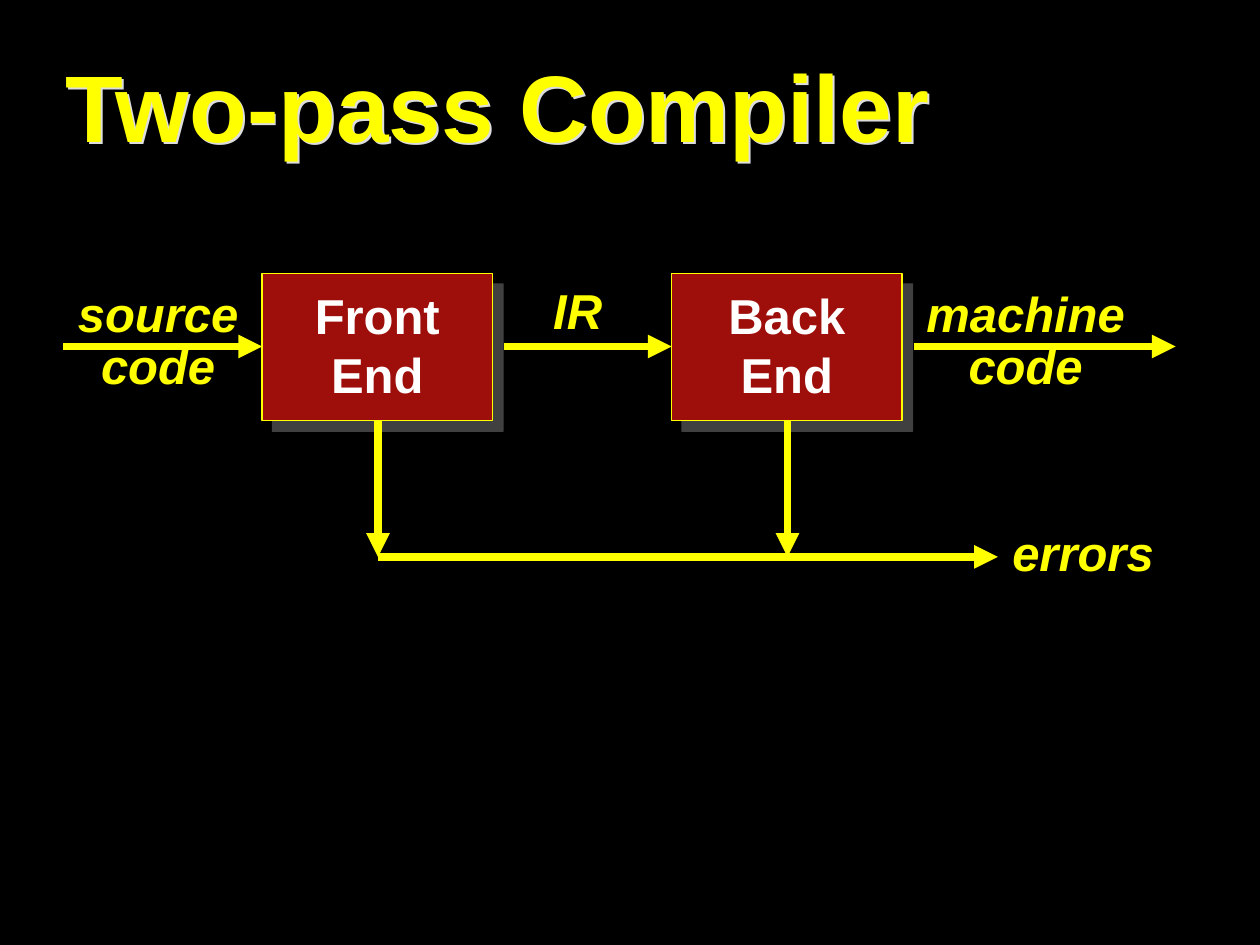
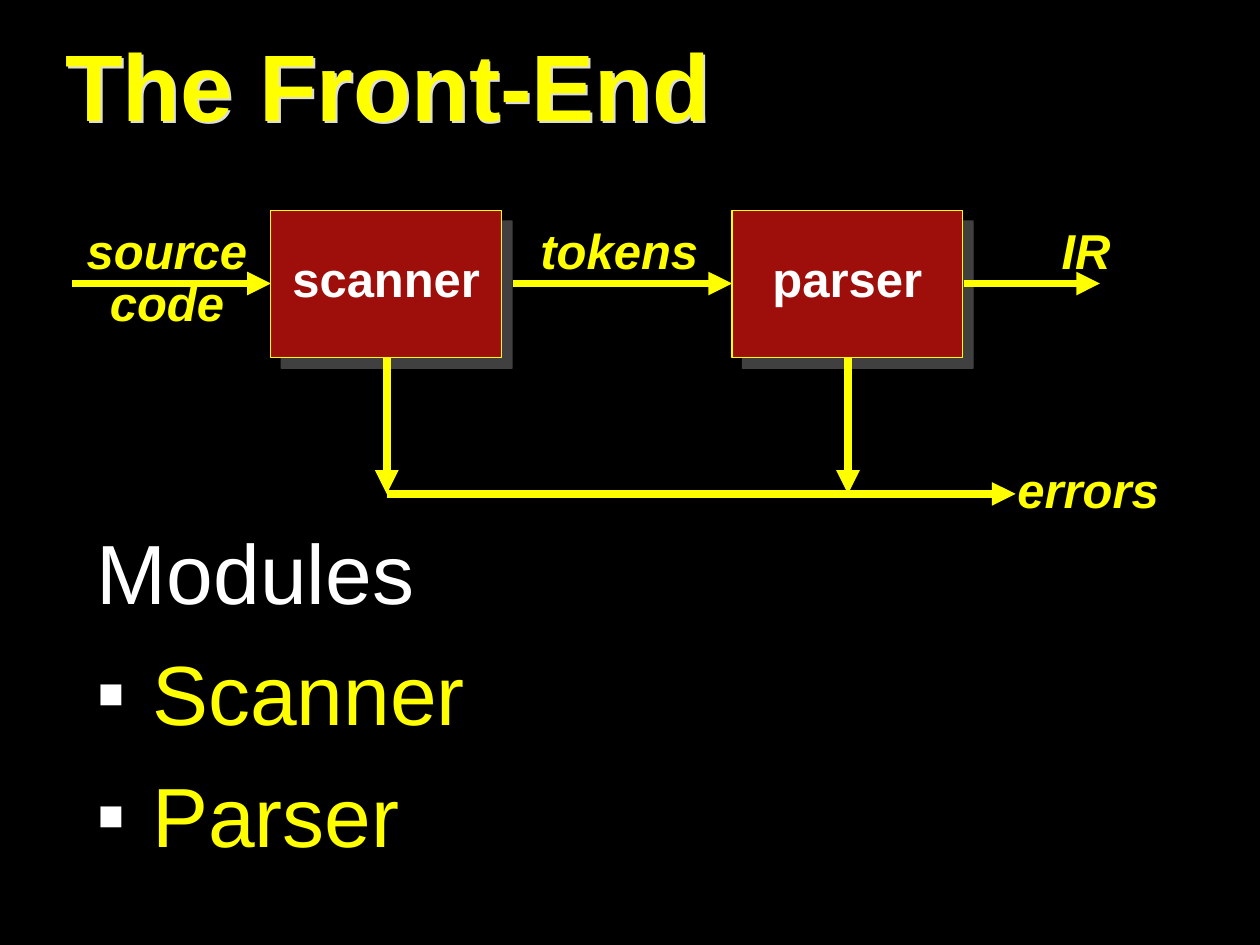
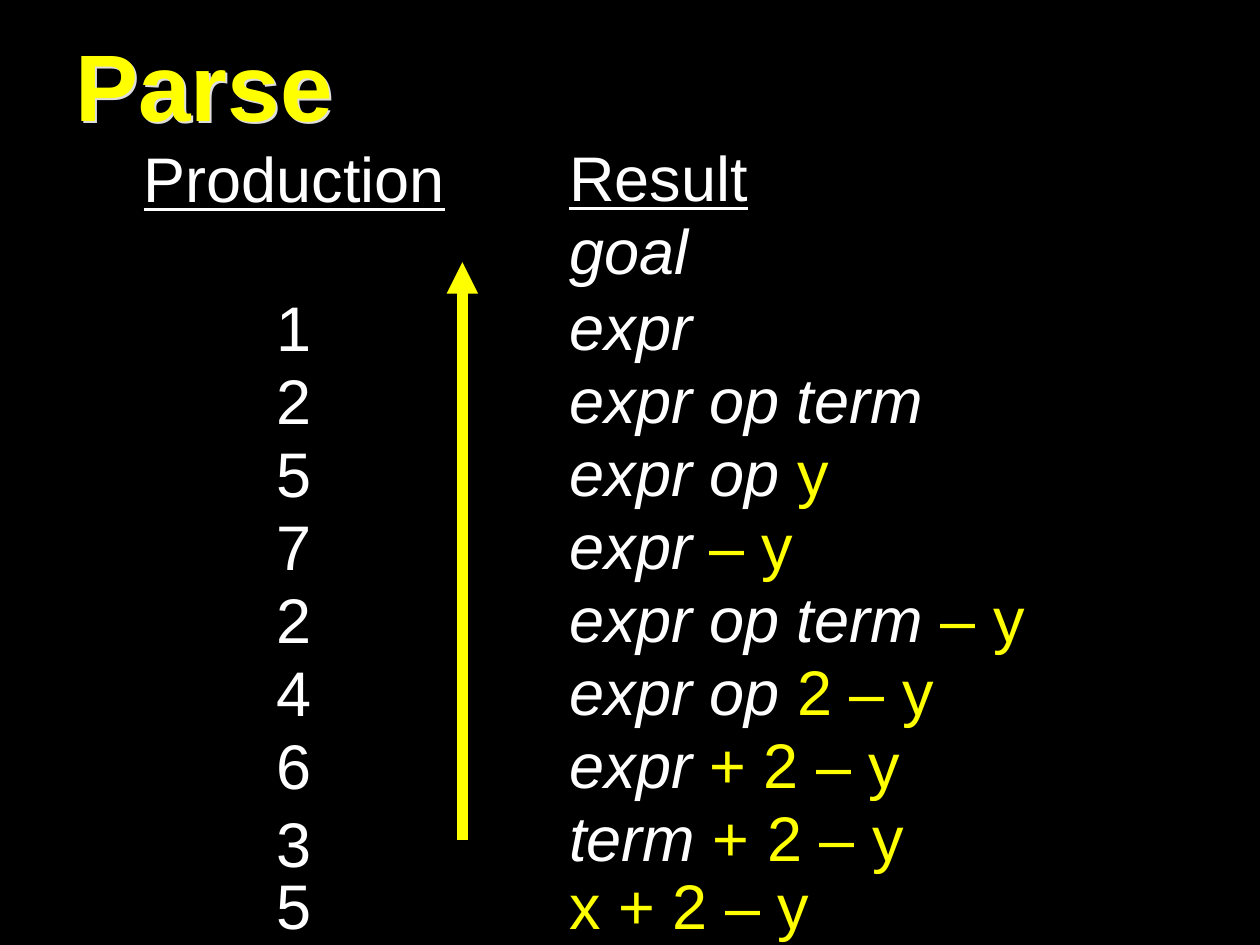
from dataclasses import dataclass

from lxml.etree import SubElement as Sub
from pptx import Presentation
from pptx.dml.color import RGBColor as Rgb
from pptx.enum.shapes import MSO_CONNECTOR as Link, MSO_SHAPE as Kind
from pptx.enum.text import MSO_ANCHOR as Anchor, PP_ALIGN as Align
from pptx.oxml.ns import qn
from pptx.util import Inches, Pt


@dataclass(frozen=True)
class Theme:
    back: Rgb = Rgb(0, 0, 0)
    white: Rgb = Rgb(255, 255, 255)
    yellow: Rgb = Rgb(255, 255, 0)
    red: Rgb = Rgb(0x9E, 0x0E, 0x0A)
    shade: Rgb = Rgb(0x80, 0x80, 0x80)
    glow: Rgb = Rgb(0xDD, 0xDD, 0xDD)
    font: str = "Arial"
    head: int = 54
    body: int = 48
    cell: int = 36
    label: int = 28


PLAIN = "{2D5ABB26-0587-4C30-8999-92F81FD0307C}"  # no table style, no grid
BOX_W, BOX_H = 1.83, 1.17


def cast(shape, dist, alpha, color):
    """Give a shape an outer shadow at 45 degrees."""
    shape.shadow.inherit = False
    effects = shape._element.spPr.find(qn("a:effectLst"))
    outer = Sub(effects, qn("a:outerShdw"), dist=str(Pt(dist)),
                dir="2700000", algn="ctr", rotWithShape="0")
    tint = Sub(outer, qn("a:srgbClr"), val=str(color))
    Sub(tint, qn("a:alpha"), val=str(alpha * 1000))


def write(par, text, font, size, color, bold=False, italic=False,
          under=False, align=Align.LEFT, space=None, before=None):
    """Fill a paragraph; a newline in the text breaks the line."""
    par.alignment = align
    if space:
        par.line_spacing = space
    if before is not None:
        par.space_before = Pt(before)
    for num, line in enumerate(text.split("\n")):
        if num:
            par.add_line_break()
        run = par.add_run()
        run.text = line
        face = run.font
        face.name, face.size, face.color.rgb = font, Pt(size), color
        face.bold, face.italic, face.underline = bold, italic, under


class Deck:
    def __init__(self, theme):
        self.theme = theme
        self.show = Presentation()
        self.show.slide_width, self.show.slide_height = Inches(10), Inches(7.5)

    def page(self, title, left, top):
        self.slide = self.show.slides.add_slide(self.show.slide_layouts[6])
        fill = self.slide.background.fill
        fill.solid()
        fill.fore_color.rgb = self.theme.back
        box = self.text(title, left, top, 9.42, 0.83, size=self.theme.head,
                        color=self.theme.yellow, bold=True)
        box.text_frame.vertical_anchor = Anchor.MIDDLE
        cast(box, 1.6, 100, self.theme.glow)

    def text(self, text, left, top, width, height, wrap=True, **form):
        box = self.slide.shapes.add_textbox(
            Inches(left), Inches(top), Inches(width), Inches(height))
        box.text_frame.word_wrap = wrap
        write(box.text_frame.paragraphs[0], text, self.theme.font, **form)
        return box

    def label(self, text, left, top, width):
        height = 0.94 if "\n" in text else 0.52
        self.text(text, left, top, width, height, size=self.theme.label,
                  color=self.theme.yellow, bold=True, italic=True,
                  align=Align.CENTER, space=0.9)

    def box(self, name, left, top):
        shape = self.slide.shapes.add_shape(
            Kind.RECTANGLE, Inches(left), Inches(top),
            Inches(BOX_W), Inches(BOX_H))
        shape.fill.solid()
        shape.fill.fore_color.rgb = self.theme.red
        shape.line.color.rgb = self.theme.yellow
        shape.line.width = Pt(0.75)
        cast(shape, 8.5, 50, self.theme.shade)
        drop, height = (0.05, 1.04) if "\n" in name else (0.25, 0.57)
        self.text(name, left, top + drop, BOX_W, height, wrap=False,
                  size=self.theme.label, color=self.theme.white, bold=True,
                  align=Align.CENTER)

    def arrow(self, x1, y1, x2, y2, width=4.5):
        line = self.slide.shapes.add_connector(
            Link.STRAIGHT, Inches(x1), Inches(y1), Inches(x2), Inches(y2))
        line.line.color.rgb = self.theme.yellow
        line.line.width = Pt(width)
        Sub(line.line._get_or_add_ln(), qn("a:tailEnd"), type="triangle")
        Sub(line._element.spPr, qn("a:effectLst"))

    def flow(self, top, lefts, names, link, out, errors):
        """Draw two stages; link is (text, drop, width), out is (text,
        label x, arrow start, arrow end), errors is (label x, arrow end)."""
        first, last = lefts
        mid, low, base = top + 0.58, top + BOX_H, top + 2.25
        for name, left in zip(names, lefts):
            self.box(name, left, top)
        self.arrow(first - 1.58, mid, first, mid)
        self.label("source\ncode", first - 1.67, top + 0.08, 1.69)
        self.arrow(first + 1.92, mid, last, mid)
        text, drop, width = link
        self.label(text, first + 1.92, top + drop, width)
        text, place, start, end = out
        self.arrow(start, mid, end, mid)
        self.label(text, place, top + 0.08, 1.94)
        place, end = errors
        self.arrow(first + 0.92, base, end, base)
        for left in lefts:
            self.arrow(left + 0.92, low, left + 0.92, base)
        self.label("errors", place, top + 1.98, 1.69)

    def bullets(self, head, items, left, top, width, height):
        size = self.theme.body
        frame = self.text(head, left, top, width, height, size=size,
                          color=self.theme.white).text_frame
        for item in items:
            par = frame.add_paragraph()
            write(par, item, self.theme.font, size=size,
                  color=self.theme.yellow, before=12)
            props = par._p.get_or_add_pPr()
            props.set("marL", str(Inches(0.44)))
            props.set("indent", str(-Inches(0.44)))
            tint = Sub(props, qn("a:buClr"))
            Sub(tint, qn("a:srgbClr"), val=str(self.theme.white))
            Sub(props, qn("a:buFont"), typeface=self.theme.font)
            Sub(props, qn("a:buChar"), char="▪")

    def table(self, rows, left, top, cols, highs):
        """Each row is (production, symbols in italic, input in yellow)."""
        grid = self.slide.shapes.add_table(
            len(rows), len(cols), Inches(left), Inches(top),
            Inches(sum(cols)), Inches(sum(highs))).table
        grid._tbl.tblPr.find(qn("a:tableStyleId")).text = PLAIN
        grid.first_row = grid.horz_banding = False
        for col, width in zip(grid.columns, cols):
            col.width = Inches(width)
        white, yellow = self.theme.white, self.theme.yellow
        for num, (row, high) in enumerate(zip(rows, highs)):
            grid.rows[num].height = Inches(high)
            rule, symbols, rest = row
            side, main = grid.cell(num, 0), grid.cell(num, 1)
            for cell, above, below in ((side, 0.04, 0.03), (main, 0.05, 0.02)):
                cell.fill.background()
                cell.margin_top = Inches(above)
                cell.margin_bottom = Inches(below)
            side.vertical_anchor = Anchor.MIDDLE
            form = dict(font=self.theme.font, size=self.theme.cell,
                        under=num == 0,
                        space=0.6 if num == len(rows) - 1 else 0.85)
            if rule:
                write(side.text_frame.paragraphs[0], rule, color=white,
                      align=Align.CENTER, **form)
            par = main.text_frame.paragraphs[0]
            if symbols:
                write(par, symbols, color=white, italic=num > 0, **form)
            if rest:
                write(par, rest, color=yellow, **form)


def main():
    deck = Deck(Theme())

    deck.page("Two-pass Compiler", 0.42, 0.42)
    deck.flow(2.17, (2.08, 5.33), ("Front\nEnd", "Back\nEnd"),
              ("IR", 0.06, 1.17), ("machine\ncode", 7.17, 7.25, 9.33),
              (7.75, 7.92))

    deck.page("The Front-End", 0.42, 0.25)
    deck.bullets("Modules", ("Scanner", "Parser"), 0.67, 4.08, 9.75, 2.83)
    deck.flow(1.67, (2.15, 5.81), ("scanner", "parser"),
              ("tokens", 0.08, 1.69), ("IR", 7.65, 7.65, 8.73), (7.79, 8.06))

    deck.page("Parse", 0.5, 0.25)
    rows = [
        ("Production", "Result", ""),
        ("", "goal", ""),
        ("1", "expr", ""),
        ("2", "expr op term", ""),
        ("5", "expr op ", "y"),
        ("7", "expr ", "– y"),
        ("2", "expr op term ", "– y"),
        ("4", "expr op ", "2 – y"),
        ("6", "expr ", "+ 2 – y"),
        ("3", "term ", "+ 2 – y"),
        ("5", "", "x + 2 – y"),
    ]
    deck.table(rows, 0.25, 1.17, (4.17, 5.17),
               [0.51, 0.6] + [0.51] * 7 + [0.65, 0.38])
    deck.arrow(3.67, 6.67, 3.67, 2.08, width=6)

    deck.show.save("out.pptx")


if __name__ == "__main__":
    main()
